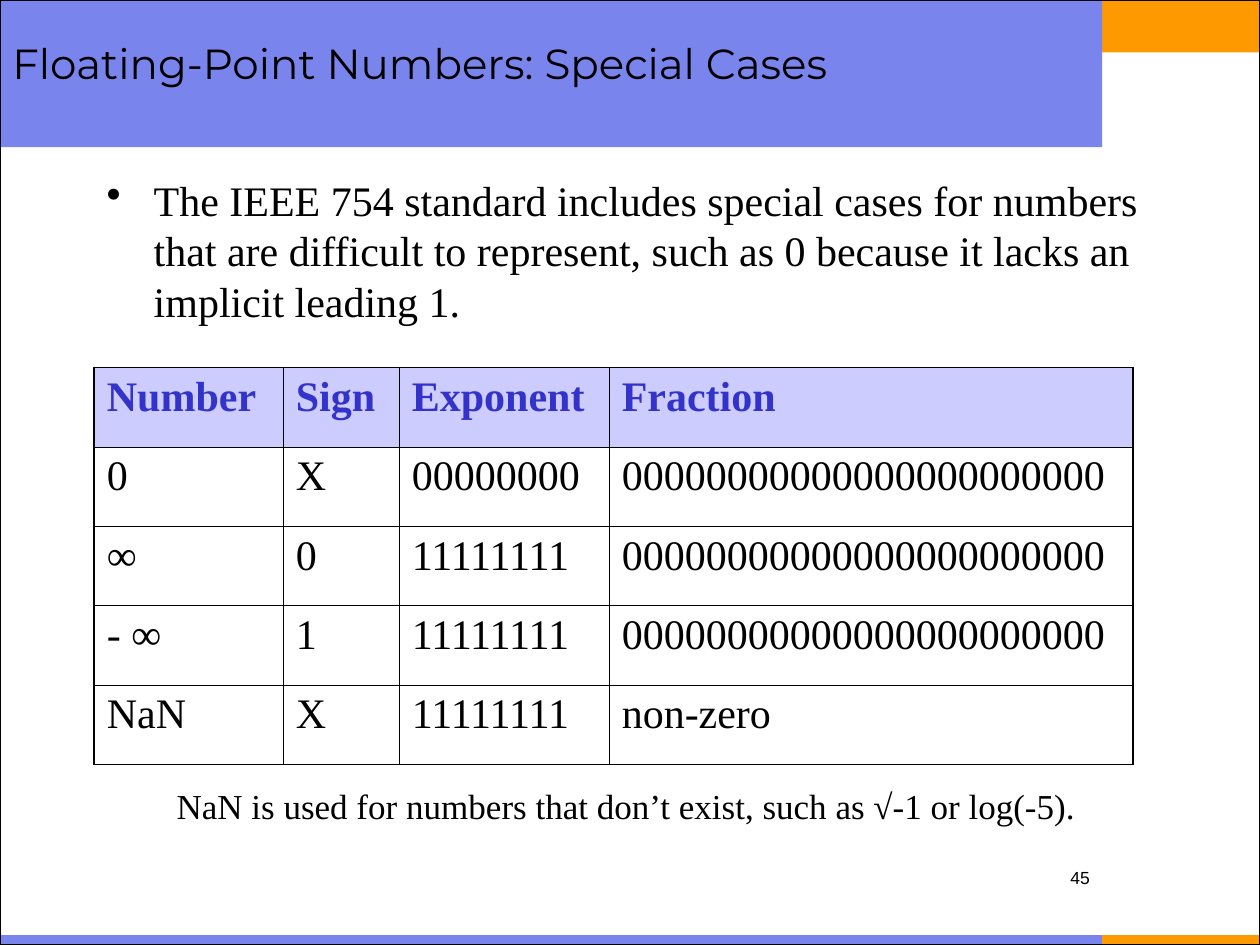
from dataclasses import dataclass

from lxml import etree
from pptx import Presentation
from pptx import util as u
from pptx.dml.color import RGBColor
from pptx.enum import shapes, text
from pptx.oxml import ns


@dataclass(frozen=True)
class Theme:
    """Colours, fonts and type sizes of the slide."""
    blue: str = "7984ED"
    orange: str = "FF9900"
    black: str = "000000"
    header_fill: str = "CCCCFF"
    header_text: str = "3333CC"
    title_font: str = "Montserrat"
    body_font: str = "Times New Roman"
    number_font: str = "Arial"
    body_size: int = 24
    note_size: int = 20
    number_size: int = 10
    outer_line: float = 1.08
    inner_line: float = 0.45
    frame_line: float = 0.75


THEME = Theme()
WIDTH, HEIGHT = 25.4, 19.05
HEADERS = ("Number", "Sign", "Exponent", "Fraction")
ZEROS, ONES, ZERO_FRACTION = "0" * 8, "1" * 8, "0" * 23
SPECIAL_CASES = (
    ("0", "X", ZEROS, ZERO_FRACTION),
    ("∞", "0", ONES, ZERO_FRACTION),
    ("- ∞", "1", ONES, ZERO_FRACTION),
    ("NaN", "X", ONES, "non-zero"),
)


def cm_box(box):
    """Convert a left, top, width, height box from centimetres."""
    return [u.Cm(length) for length in box]


def write_paragraph(paragraph, wording, color=THEME.black, **formats):
    """Put one formatted run of text in a paragraph."""
    run = paragraph.add_run()
    run.text = wording
    values = {"name": THEME.body_font, "size": u.Pt(THEME.body_size), **formats}
    for name, value in values.items():
        setattr(run.font, name, value)
    run.font.color.rgb = RGBColor.from_string(color)


def add_text(slide, box, wording, align=text.PP_ALIGN.LEFT,
             anchor=text.MSO_ANCHOR.TOP, **formats):
    """Add a wrapped text box and return its paragraph."""
    frame = slide.shapes.add_textbox(*cm_box(box)).text_frame
    frame.word_wrap = True
    frame.vertical_anchor = anchor
    paragraph = frame.paragraphs[0]
    paragraph.alignment = align
    write_paragraph(paragraph, wording, **formats)
    return paragraph


def add_rectangle(slide, box, fill=None, line=None):
    """Add a plain rectangle with an optional fill and outline."""
    shape = slide.shapes.add_shape(shapes.MSO_SHAPE.RECTANGLE, *cm_box(box))
    shape.shadow.inherit = False
    if fill:
        shape.fill.solid()
        shape.fill.fore_color.rgb = RGBColor.from_string(fill)
    else:
        shape.fill.background()
    if line:
        shape.line.color.rgb = RGBColor.from_string(line)
        shape.line.width = u.Pt(THEME.frame_line)
    else:
        shape.line.fill.background()


def add_background(slide, box):
    """Draw the corner blocks, bands and frame."""
    left, top, width, height = box
    accent, strip = 3.18, 0.2
    split, bottom = left + width - accent, top + height - strip
    add_rectangle(slide, (split, top, accent, 1.06), THEME.orange)
    add_rectangle(slide, (left, bottom, width - 0.43, strip), THEME.blue)
    add_rectangle(slide, (split, bottom, accent, strip), THEME.orange)
    add_rectangle(slide, (left, top, width - accent, 2.97), THEME.blue)
    add_rectangle(slide, box, line=THEME.black)


def add_bullet(slide, box, wording):
    """Add a bulleted paragraph with a hanging indent."""
    paragraph = add_text(slide, box, wording)
    properties = paragraph._p.get_or_add_pPr()
    indent = u.Cm(0.95)
    properties.set("marL", str(indent))
    properties.set("indent", str(-indent))
    etree.SubElement(properties, ns.qn("a:buChar"), char="•")


def set_borders(cell, widths):
    """Draw the cell's sides with the given widths in points."""
    properties = cell._tc.get_or_add_tcPr()
    for position, (side, width) in enumerate(widths.items()):
        line = etree.Element(ns.qn(f"a:ln{side}"), w=str(u.Pt(width)))
        fill = etree.SubElement(line, ns.qn("a:solidFill"))
        etree.SubElement(fill, ns.qn("a:srgbClr"), val=THEME.black)
        properties.insert(position, line)


def add_case_table(slide, box, rows):
    """Add the bordered table of special cases."""
    columns = (3.81, 2.34, 4.23, 10.56)
    last_row, last_column = len(rows) - 1, len(columns) - 1
    table = slide.shapes.add_table(len(rows), len(columns), *cm_box(box)).table
    table.horz_banding = False
    for column, width in zip(table.columns, columns):
        column.width = u.Cm(width)
    for r, row in enumerate(rows):
        table.rows[r].height = u.Cm(box[3] / len(rows))
        for c, wording in enumerate(row):
            cell = table.cell(r, c)
            if r == 0:
                cell.fill.solid()
                cell.fill.fore_color.rgb = RGBColor.from_string(THEME.header_fill)
            else:
                cell.fill.background()
            edges = {"L": c == 0, "R": c == last_column,
                     "T": r == 0, "B": r == last_row}
            set_borders(cell, {side: THEME.outer_line if outer else THEME.inner_line
                               for side, outer in edges.items()})
            write_paragraph(cell.text_frame.paragraphs[0], wording,
                            color=THEME.black if r else THEME.header_text,
                            bold=r == 0)


def add_special_cases(slide, box):
    """Place the bullet, the table and the note."""
    left, top, width, height = box
    add_bullet(slide, (left, top, width, 3.6),
               "The IEEE 754 standard includes special cases for numbers that are "
               "difficult to represent, such as 0 because it lacks an implicit "
               "leading 1.")
    add_case_table(slide, (left, top + 4.02, 20.94, 8), (HEADERS, *SPECIAL_CASES))
    add_text(slide, (left + 1.41, top + 12.3, width - 1.41, 1.1),
             "NaN is used for numbers that don’t exist, such as √-1 or log(-5).",
             size=u.Pt(THEME.note_size))


def main():
    """Build and save the slide."""
    presentation = Presentation()
    presentation.slide_width, presentation.slide_height = u.Cm(WIDTH), u.Cm(HEIGHT)
    slide = presentation.slides.add_slide(presentation.slide_layouts[6])
    add_background(slide, (0, 0, WIDTH, HEIGHT))
    add_text(slide, (0, 0.2, WIDTH, 2.12), "Floating-Point Numbers: Special Cases",
             anchor=text.MSO_ANCHOR.MIDDLE, name=THEME.title_font)
    add_special_cases(slide, (1.9, 3.39, 22.43, 14.4))
    add_text(slide, (16.93, 17.36, 5.29, 1.27), "45", align=text.PP_ALIGN.RIGHT,
             name=THEME.number_font, size=u.Pt(THEME.number_size))
    presentation.save("out.pptx")


if __name__ == "__main__":
    main()
